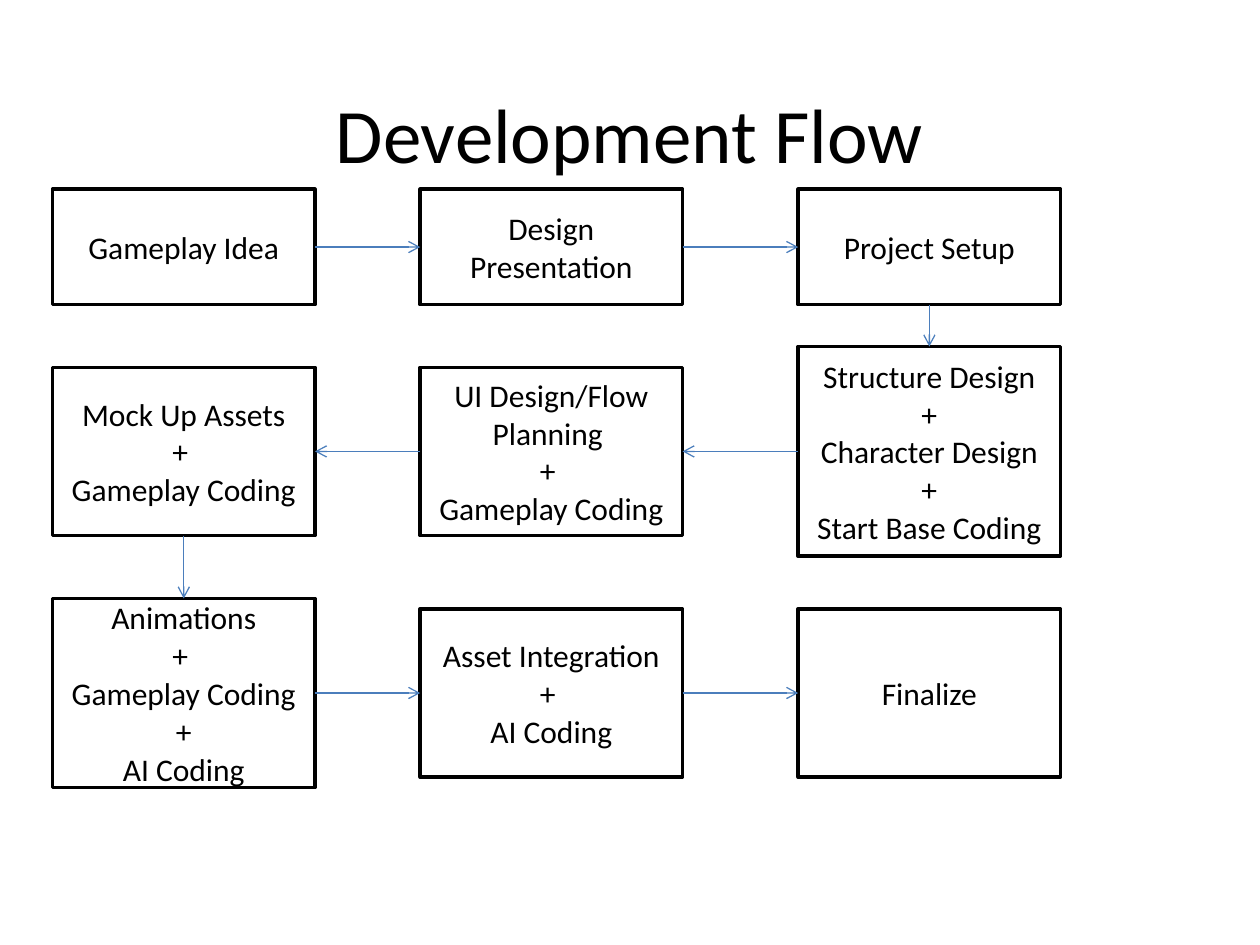
from dataclasses import dataclass
from itertools import pairwise

import pptx
import pptx.dml.color
import pptx.enum.shapes
import pptx.enum.text
import pptx.oxml
import pptx.oxml.ns
import pptx.util
from pptx.util import Cm

COLORS = {"ink": "000000", "paper": "FFFFFF", "arrow": "4B7EBC"}
LEFTS = (1.06, 8.47, 16.09)
MIDS = (4.98, 9.1, 13.97)
WIDTH = 5.29
TOP, LEFT, BOTTOM, RIGHT = range(4)


@dataclass
class Step:
    col: int
    row: int
    height: float
    lines: tuple[str, ...]


STEPS = (
    Step(0, 0, 2.33, ("Gameplay Idea",)),
    Step(1, 0, 2.33, ("Design Presentation",)),
    Step(2, 0, 2.33, ("Project Setup",)),
    Step(2, 1, 4.23, ("Structure Design", "+", "Character Design +", "Start Base Coding")),
    Step(1, 1, 3.39, ("UI Design/Flow Planning ", "+ ", "Gameplay Coding")),
    Step(0, 1, 3.39, ("Mock Up Assets", "+ ", "Gameplay Coding")),
    Step(0, 2, 3.81, ("Animations", "+ ", "Gameplay Coding", "+", "AI Coding")),
    Step(1, 2, 3.39, ("Asset Integration", "+ ", "AI Coding")),
    Step(2, 2, 3.39, ("Finalize",)),
)


def color(name: str) -> pptx.dml.color.RGBColor:
    return pptx.dml.color.RGBColor.from_string(COLORS[name])


def write(shape, lines: tuple[str, ...], size: float) -> None:
    frame = shape.text_frame
    frame.word_wrap = True
    frame.vertical_anchor = pptx.enum.text.MSO_ANCHOR.MIDDLE
    frame.text = "\n".join(lines)
    for para in frame.paragraphs:
        para.alignment = pptx.enum.text.PP_ALIGN.CENTER
        para.font.name = "Calibri"
        para.font.size = pptx.util.Pt(size)
        para.font.color.rgb = color("ink")


def add_box(slide, step: Step):
    box = slide.shapes.add_shape(
        pptx.enum.shapes.MSO_SHAPE.RECTANGLE,
        Cm(LEFTS[step.col]), Cm(MIDS[step.row] - step.height / 2),
        Cm(WIDTH), Cm(step.height),
    )
    box.shadow.inherit = False
    box.fill.solid()
    box.fill.fore_color.rgb = color("paper")
    box.line.color.rgb = color("ink")
    box.line.width = pptx.util.Pt(2)
    write(box, step.lines, 18)
    return box


def sides(start: Step, end: Step) -> tuple[int, int]:
    if start.row != end.row:
        return BOTTOM, TOP
    return (RIGHT, LEFT) if start.col < end.col else (LEFT, RIGHT)


def add_arrow(slide, start, end, ports: tuple[int, int]) -> None:
    arrow = slide.shapes.add_connector(
        pptx.enum.shapes.MSO_CONNECTOR.STRAIGHT, 0, 0, 0, 0
    )
    arrow.begin_connect(start, ports[0])
    arrow.end_connect(end, ports[1])
    arrow.line.color.rgb = color("arrow")
    arrow.line.width = pptx.util.Pt(0.75)
    space = pptx.oxml.ns.nsdecls("a")
    tip = pptx.oxml.parse_xml(f'<a:tailEnd {space} type="arrow"/>')
    arrow.line._get_or_add_ln().append(tip)
    arrow._element.spPr.append(pptx.oxml.parse_xml(f"<a:effectLst {space}/>"))


def main() -> None:
    deck = pptx.Presentation()
    deck.slide_width, deck.slide_height = Cm(25.4), Cm(19.05)
    slide = deck.slides.add_slide(deck.slide_layouts[6])
    title = slide.shapes.add_textbox(Cm(1.9), Cm(0.64), Cm(21.59), Cm(4.09))
    write(title, ("Development Flow",), 44)
    boxes = [(step, add_box(slide, step)) for step in STEPS]
    for (start, tail), (end, head) in pairwise(boxes):
        add_arrow(slide, tail, head, sides(start, end))
    deck.save("out.pptx")


if __name__ == "__main__":
    main()
